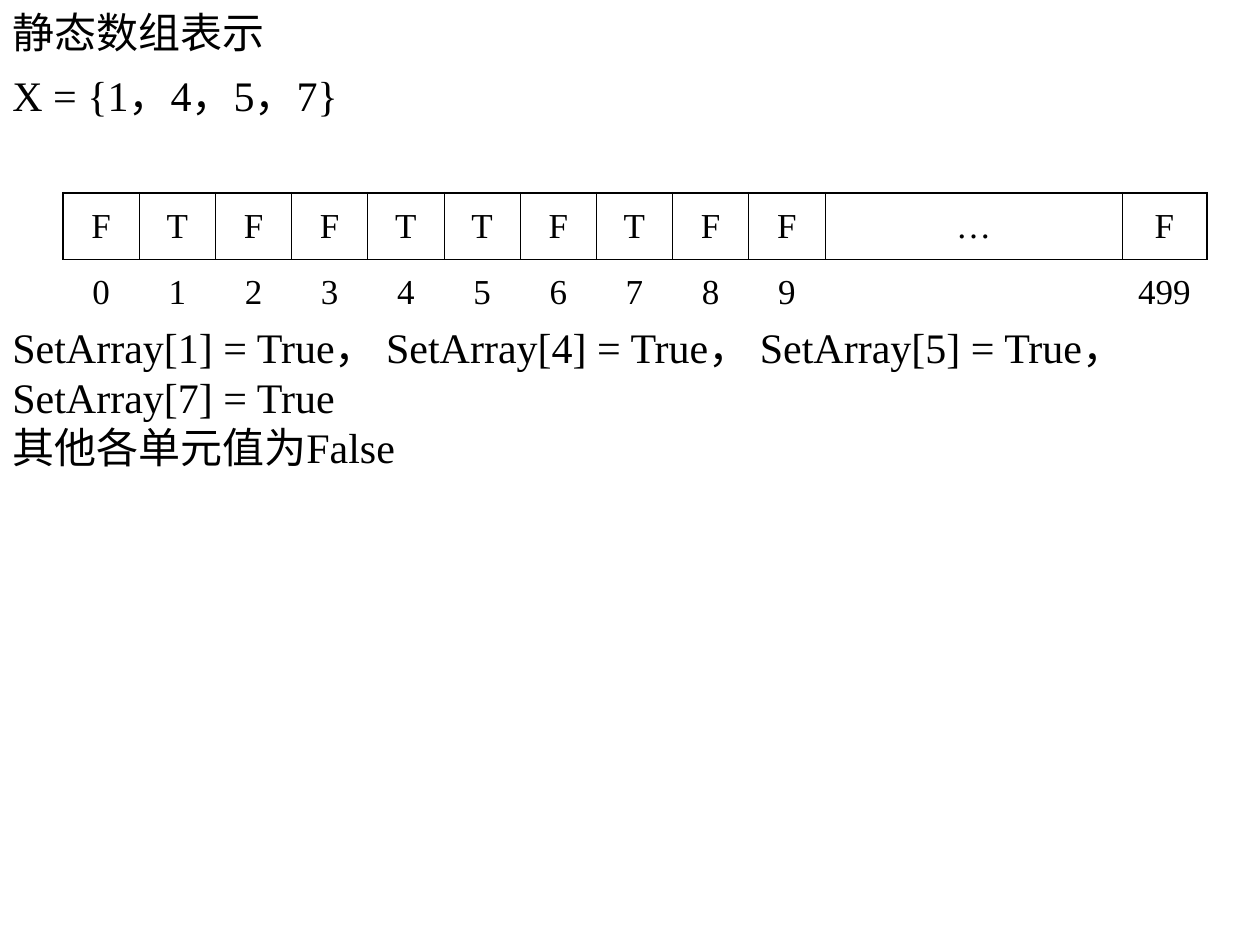
from dataclasses import dataclass
from typing import Any

import lxml.etree
import pptx
import pptx.dml.color
import pptx.enum.text
import pptx.oxml.ns
import pptx.util


@dataclass(frozen=True)
class Theme:
    font: str = "Times New Roman"
    ink: str = "000000"
    body_size: float = 24
    cell_size: float = 20
    line_height: float = 28.8
    table_gap: float = 115.2
    cell_gap: float = 5
    outer_line: float = 1.08
    inner_line: float = 0.45


@dataclass(frozen=True)
class Area:
    left: float
    top: float
    width: float
    height: float


@dataclass(frozen=True)
class ArrayColumn:
    value: str
    index: str
    width: float


THEME = Theme()
SLIDE_WIDTH = pptx.util.Inches(10)
SLIDE_HEIGHT = pptx.util.Inches(7.5)
TITLE_AREA = Area(0, 0, 0.85, 0.5 / 7.5)
BODY_AREA = Area(0, 0.5 / 7.5, 0.975, 6.67 / 7.5)
TABLE_AREA = Area(0.05, 1.53 / 7.5, 0.908, 1.06 / 7.5)
MEMBERS = {1, 4, 5, 7}
COLUMNS = [
    ArrayColumn("T" if number in MEMBERS else "F", str(number), 0.0605)
    for number in range(10)
] + [ArrayColumn("…", "", 0.236), ArrayColumn("F", "499", 0.067)]
BODY_LINES = [
    ("X = {1，4，5，7}", 0),
    ("SetArray[1] = True， SetArray[4] = True， SetArray[5] = True，", THEME.table_gap),
    ("SetArray[7] = True", 0),
    ("其他各单元值为False", 0),
]


def apply(target: Any, values: dict[str, Any]) -> None:
    for name, value in values.items():
        setattr(target, name, value)


def bounds(area: Area) -> dict[str, int]:
    return {
        "left": round(area.left * SLIDE_WIDTH),
        "top": round(area.top * SLIDE_HEIGHT),
        "width": round(area.width * SLIDE_WIDTH),
        "height": round(area.height * SLIDE_HEIGHT),
    }


def write(paragraph: Any, text: str, size: float, **paragraph_format: Any) -> None:
    run = paragraph.add_run()
    run.text = text
    apply(run.font, {"name": THEME.font, "size": pptx.util.Pt(size), "bold": False})
    run.font.color.rgb = pptx.dml.color.RGBColor.from_string(THEME.ink)
    apply(paragraph, paragraph_format)


def draw_title(slide: Any, text: str) -> None:
    title = slide.shapes.title
    apply(title, bounds(TITLE_AREA))
    apply(title.text_frame, {
        "word_wrap": True,
        "auto_size": pptx.enum.text.MSO_AUTO_SIZE.NONE,
        "vertical_anchor": pptx.enum.text.MSO_ANCHOR.MIDDLE,
    })
    write(title.text_frame.paragraphs[0], text, THEME.body_size,
          alignment=pptx.enum.text.PP_ALIGN.LEFT)


def draw_body(slide: Any, lines: list[tuple[str, float]]) -> None:
    frame = slide.shapes.add_textbox(**bounds(BODY_AREA)).text_frame
    frame.word_wrap = True
    for position, (text, gap) in enumerate(lines):
        paragraph = frame.add_paragraph() if position else frame.paragraphs[0]
        write(paragraph, text, THEME.body_size,
              line_spacing=pptx.util.Pt(THEME.line_height),
              space_before=pptx.util.Pt(gap))


def set_borders(cell: Any, widths: dict[str, float]) -> None:
    properties = cell._tc.get_or_add_tcPr()
    for position, (side, width) in enumerate(widths.items()):
        line = lxml.etree.Element(pptx.oxml.ns.qn(f"a:ln{side}"))
        if width:
            line.set("w", str(pptx.util.Pt(width)))
            fill = lxml.etree.SubElement(line, pptx.oxml.ns.qn("a:solidFill"))
            lxml.etree.SubElement(fill, pptx.oxml.ns.qn("a:srgbClr"), val=THEME.ink)
        else:
            lxml.etree.SubElement(line, pptx.oxml.ns.qn("a:noFill"))
        properties.insert(position, line)


def draw_cell(cell: Any, text: str, borders: dict[str, float]) -> None:
    cell.vertical_anchor = pptx.enum.text.MSO_ANCHOR.MIDDLE
    cell.fill.background()
    set_borders(cell, borders)
    if text:
        write(cell.text_frame.paragraphs[0], text, THEME.cell_size,
              alignment=pptx.enum.text.PP_ALIGN.CENTER,
              space_before=pptx.util.Pt(THEME.cell_gap))


def draw_array(slide: Any, columns: list[ArrayColumn]) -> None:
    table = slide.shapes.add_table(2, len(columns), **bounds(TABLE_AREA)).table
    apply(table, {"first_row": False, "horz_banding": False})
    last = len(columns) - 1
    for number, column in enumerate(columns):
        table.columns[number].width = round(column.width * SLIDE_WIDTH)
        value_borders = {
            "L": THEME.inner_line if number else THEME.outer_line,
            "R": THEME.outer_line if number == last else THEME.inner_line,
            "T": THEME.outer_line,
            "B": THEME.inner_line,
        }
        index_borders = {"L": 0, "R": 0, "T": THEME.inner_line, "B": 0}
        draw_cell(table.cell(0, number), column.value, value_borders)
        draw_cell(table.cell(1, number), column.index, index_borders)


def main() -> None:
    presentation = pptx.Presentation()
    apply(presentation, {"slide_width": SLIDE_WIDTH, "slide_height": SLIDE_HEIGHT})
    slide = presentation.slides.add_slide(presentation.slide_layouts[5])
    draw_title(slide, "静态数组表示")
    draw_body(slide, BODY_LINES)
    draw_array(slide, COLUMNS)
    presentation.save("out.pptx")


if __name__ == "__main__":
    main()
